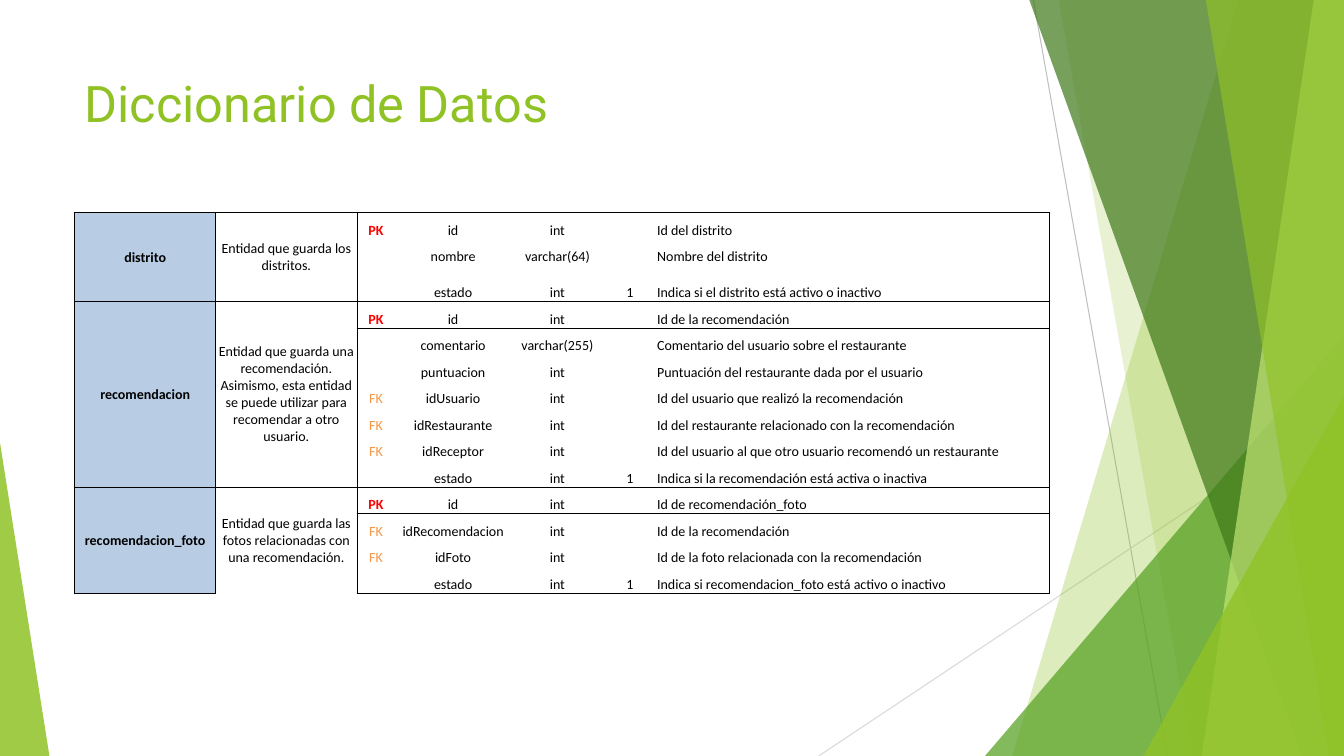
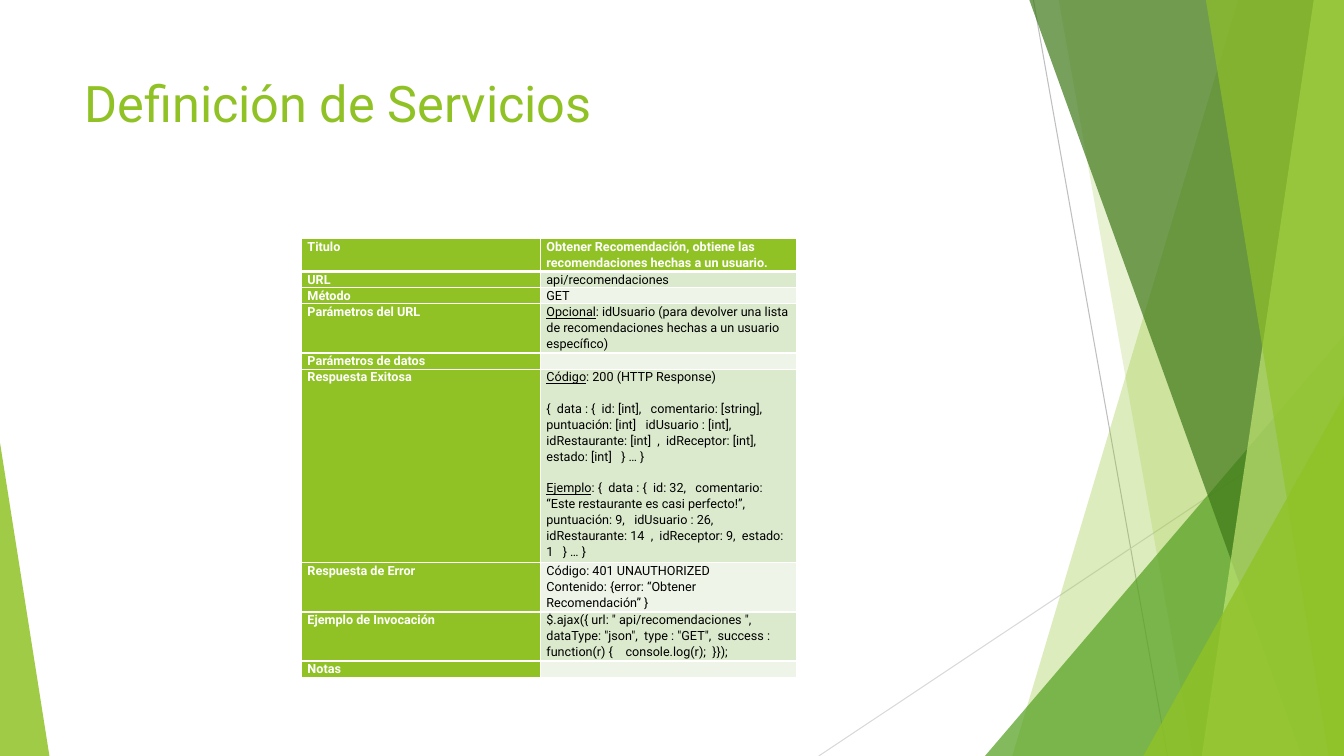
import pptx
import pptx.util
import pptx.dml.color
import pptx.enum.shapes
import pptx.enum.text
import pptx.oxml.ns
import lxml.etree

WIDE = pptx.util.Inches(13.33)
HIGH = pptx.util.Inches(7.5)
GREEN, BLACK, WHITE = "90C226", "000000", "FFFFFF"
LEFT = pptx.enum.text.PP_ALIGN.LEFT
CENTER = pptx.enum.text.PP_ALIGN.CENTER
TOP = pptx.enum.text.MSO_ANCHOR.TOP
MIDDLE = pptx.enum.text.MSO_ANCHOR.MIDDLE
BOTTOM = pptx.enum.text.MSO_ANCHOR.BOTTOM
SHAPES = pptx.enum.shapes.MSO_SHAPE
PLAIN = "{2D5ABB26-0587-4C30-8999-92F81FD0307C}"

ENTRIES = [
    ("distrito", "Entidad que guarda los distritos.", [
        ("PK", "id", "int", "", "Id del distrito"),
        ("", "nombre", "varchar(64)", "", "Nombre del distrito"),
        ("", "estado", "int", "1", "Indica si el distrito está activo o inactivo"),
    ]),
    ("recomendacion", "Entidad que guarda una recomendación. Asimismo, esta entidad "
     "se puede utilizar para recomendar a otro usuario.", [
        ("PK", "id", "int", "", "Id de la recomendación"),
        ("", "comentario", "varchar(255)", "", "Comentario del usuario sobre el restaurante"),
        ("", "puntuacion", "int", "", "Puntuación del restaurante dada por el usuario"),
        ("FK", "idUsuario", "int", "", "Id del usuario que realizó la recomendación"),
        ("FK", "idRestaurante", "int", "", "Id del restaurante relacionado con la recomendación"),
        ("FK", "idReceptor", "int", "", "Id del usuario al que otro usuario recomendó un restaurante"),
        ("", "estado", "int", "1", "Indica si la recomendación está activa o inactiva"),
    ]),
    ("recomendacion_foto", "Entidad que guarda las fotos relacionadas con una recomendación.", [
        ("PK", "id", "int", "", "Id de recomendación_foto"),
        ("FK", "idRecomendacion", "int", "", "Id de la recomendación"),
        ("FK", "idFoto", "int", "", "Id de la foto relacionada con la recomendación"),
        ("", "estado", "int", "1", "Indica si recomendacion_foto está activo o inactivo"),
    ]),
]

SERVICE = [
    ("Titulo", 4.35, ["Obtener Recomendación, obtiene las recomendaciones hechas a un usuario."]),
    ("URL", 2.15, ["api/recomendaciones"]),
    ("Método", 2.15, ["GET"]),
    ("Parámetros del URL", 6.5, [
        ("Opcional", ": idUsuario (para devolver una lista de recomendaciones "
         "hechas a un usuario específico)")]),
    ("Parámetros de datos", 2.15, [""]),
    ("Respuesta Exitosa", 25.1, [
        ("Código", ": 200 (HTTP Response)"),
        "{  data : {  id: [int],   comentario: [string],   puntuación: [int]   "
        "idUsuario : [int],    idRestaurante: [int]  ,  idReceptor: [int],  "
        "estado: [int]   } … }",
        ("Ejemplo", ": {  data : {  id: 32,   comentario: “Este restaurante es casi "
         "perfecto!”,   puntuación: 9,   idUsuario : 26,    idRestaurante: 14  ,  "
         "idReceptor: 9,  estado: 1   } … }")]),
    ("Respuesta de Error", 6.5, [
        "Código: 401 UNAUTHORIZED", "Contenido: {error: “Obtener Recomendación” }"]),
    ("Ejemplo de Invocación", 6.5, [
        '$.ajax({ url: " api/recomendaciones ",  dataType: "json",  type : "GET",  '
        'success : function(r) {    console.log(r);  }});']),
    ("Notas", 2.15, [""]),
]


def across(share):
    """Turn a percentage of the slide's width into a length."""
    return round(WIDE * share / 100)


def down(share):
    """Turn a percentage of the slide's height into a length."""
    return round(HIGH * share / 100)


def tint(code):
    """Turn a hex string into a colour."""
    return pptx.dml.color.RGBColor.from_string(code)


def child(node, tag, **marks):
    """Append a DrawingML element and return it."""
    return lxml.etree.SubElement(node, pptx.oxml.ns.qn("a:" + tag), marks)


def write(frame, texts, size=10, font="Calibri", hue=BLACK, bold=False,
          align=LEFT, lead=None, gap=0):
    """Fill a text frame; a pair of texts has its first part underlined."""
    frame.word_wrap = True
    for index, text in enumerate(texts):
        para = frame.paragraphs[0] if index == 0 else frame.add_paragraph()
        para.alignment = align
        if lead:
            para.line_spacing = lead
        if index and gap:
            para.space_before = pptx.util.Pt(gap)
        parts = text if isinstance(text, tuple) else (text,)
        for place, part in enumerate(parts):
            if not part:
                child(para._p, "endParaRPr", sz=str(size * 100))
                continue
            run = para.add_run()
            run.text = part
            run.font.size = pptx.util.Pt(size)
            run.font.name = font
            run.font.bold = bold
            run.font.underline = len(parts) > 1 and place == 0
            run.font.color.rgb = tint(hue)


def paint(shape, hue, alpha):
    """Give a shape a see-through fill without outline or shadow."""
    shape.shadow.inherit = False
    shape.line.fill.background()
    shape.fill.solid()
    shape.fill.fore_color.rgb = tint(hue)
    color = shape._element.spPr.find(".//" + pptx.oxml.ns.qn("a:srgbClr"))
    child(color, "alpha", val=str(alpha * 1000))


def panel(slide, upper, lower, hue, alpha):
    """Draw a slanted panel that reaches the right edge."""
    maker = slide.shapes.build_freeform(across(upper), 0)
    maker.add_line_segments([(WIDE, 0), (WIDE, HIGH), (across(lower), HIGH)])
    paint(maker.convert_to_shape(), hue, alpha)


def wedge(slide, left, top, width, tip, hue, alpha):
    """Draw a right-angled triangle that stands on the lower edge."""
    shape = slide.shapes.add_shape(SHAPES.ISOSCELES_TRIANGLE, across(left), down(top),
                                   across(width), down(100 - top))
    shape.adjustments[0] = tip
    paint(shape, hue, alpha)


def thread(slide, start, end, hue):
    """Draw a thin straight line."""
    line = slide.shapes.add_connector(
        pptx.enum.shapes.MSO_CONNECTOR.STRAIGHT,
        across(start[0]), down(start[1]), across(end[0]), down(end[1]))
    line.line.width = pptx.util.Pt(0.75)
    line.line.color.rgb = tint(hue)
    child(line._element.spPr, "effectLst")


def begin(deck, title):
    """Add a slide with the shared facets and title."""
    slide = deck.slides.add_slide(deck.slide_layouts[6])
    thread(slide, (76.89, 0), (86.87, 100), "BFBFBF")
    thread(slide, (100, 53.73), (60.92, 100), "D9D9D9")
    panel(slide, 92.12, 75.32, GREEN, 30)
    panel(slide, 78.77, 88.75, GREEN, 20)
    wedge(slide, 73.29, 44.4, 26.71, 1, "54A021", 72)
    panel(slide, 76.59, 96.85, "3F7819", 70)
    panel(slide, 97.75, 89.42, "C0E474", 70)
    panel(slide, 89.72, 98.87, GREEN, 65)
    wedge(slide, 85.07, 52.4, 14.93, 1, GREEN, 80)
    wedge(slide, 0, 58.53, 3.68, 0, GREEN, 85)
    box = slide.shapes.add_textbox(across(5.55), down(8.93), across(70.52), down(19.2))
    write(box.text_frame, [title], size=36, font="Roboto", hue=GREEN)
    return slide


def grid(slide, left, top, cols, rows):
    """Add a table without a style, sized by shares of the slide."""
    frame = slide.shapes.add_table(len(rows), len(cols), across(left), down(top),
                                   across(sum(cols)), down(sum(rows)))
    table = frame.table
    table.first_row = table.horz_banding = False
    for style in frame._element.iter(pptx.oxml.ns.qn("a:tableStyleId")):
        style.text = PLAIN
    for col, share in zip(table.columns, cols):
        col.width = across(share)
    for row, share in zip(table.rows, rows):
        row.height = down(share)
    return table


def edge(cell, widths, hue):
    """Draw cell borders from a dict of side letters and widths."""
    for side in "LRTB":
        if side in widths:
            line = child(cell._tc.get_or_add_tcPr(), "ln" + side,
                         w=str(round(pptx.util.Pt(widths[side]))))
            child(child(line, "solidFill"), "srgbClr", val=hue)


def fit(cell, side, top, anchor, fill=None):
    """Set the margins, anchor and fill of a cell."""
    cell.margin_left = cell.margin_right = pptx.util.Inches(side)
    cell.margin_top, cell.margin_bottom = pptx.util.Inches(top), 0
    cell.vertical_anchor = anchor
    if fill:
        cell.fill.solid()
        cell.fill.fore_color.rgb = tint(fill)
    else:
        cell.fill.background()


def border(col, first, last, final):
    """Name the outlined sides of a cell in an entry's block."""
    sides = {0: "LR", 1: "L", 6: "R"}.get(col, "")
    sides += "T" if first else ""
    if (last or (first and col < 2)) and not (final and col == 1):
        sides += "B"
    return dict.fromkeys(sides, 0.5)


def entry(table, start, name, about, fields, final):
    """Fill the block of rows of one entity."""
    end = start + len(fields) - 1
    for row, field in enumerate(fields, start):
        texts = (name, about) + field if row == start else ("", "") + field
        for col, text in enumerate(texts):
            cell = table.cell(row, col)
            edge(cell, border(col, row == start, row == end, final), BLACK)
            fit(cell, 0.01, 0.01, MIDDLE if col < 2 else BOTTOM,
                "B8CCE4" if col == 0 else None)
            write(cell.text_frame, [text], align=LEFT if col == 6 else CENTER,
                  hue={"PK": "FF0000", "FK": "F79646"}.get(text, BLACK),
                  bold=col == 0 or text == "PK")
    for col in (0, 1):
        table.cell(start, col).merge(table.cell(end, col))


def words(deck):
    """Build the data dictionary slide."""
    slide = begin(deck, "Diccionario de Datos")
    rows = [3.51] * sum(len(fields) for _, _, fields in ENTRIES)
    rows[2] = 4.72
    table = grid(slide, 5.55, 28.13, [10.5, 10.5, 2.85, 8.63, 6.9, 3.9, 29.27], rows)
    start = 0
    for item in ENTRIES:
        entry(table, start, *item, final=item is ENTRIES[-1])
        start += len(item[2])


def service(deck):
    """Build the service definition slide."""
    slide = begin(deck, "Definición de Servicios")
    table = grid(slide, 22.43, 31.55, [17.78, 19.05], [row[1] for row in SERVICE])
    for row, (label, _, texts) in enumerate(SERVICE):
        for col, content in enumerate(([label], texts)):
            cell = table.cell(row, col)
            head = row == 0 or col == 0
            edge(cell, {"L": 1, "R": 1, "T": 3 if row == 1 else 1,
                        "B": 3 if row == 0 else 1}, WHITE)
            fit(cell, 0.06, 0, TOP, GREEN if head else ("EEF4E8", "DBE9CD")[row % 2])
            write(cell.text_frame, content, size=9, font="Roboto", bold=head,
                  hue=WHITE if head else BLACK, lead=1.07,
                  gap=11.3 if len(content) > 2 else 0)


def main():
    """Build and save the deck."""
    deck = pptx.Presentation()
    deck.slide_width, deck.slide_height = WIDE, HIGH
    words(deck)
    service(deck)
    deck.save("out.pptx")


if __name__ == "__main__":
    main()
